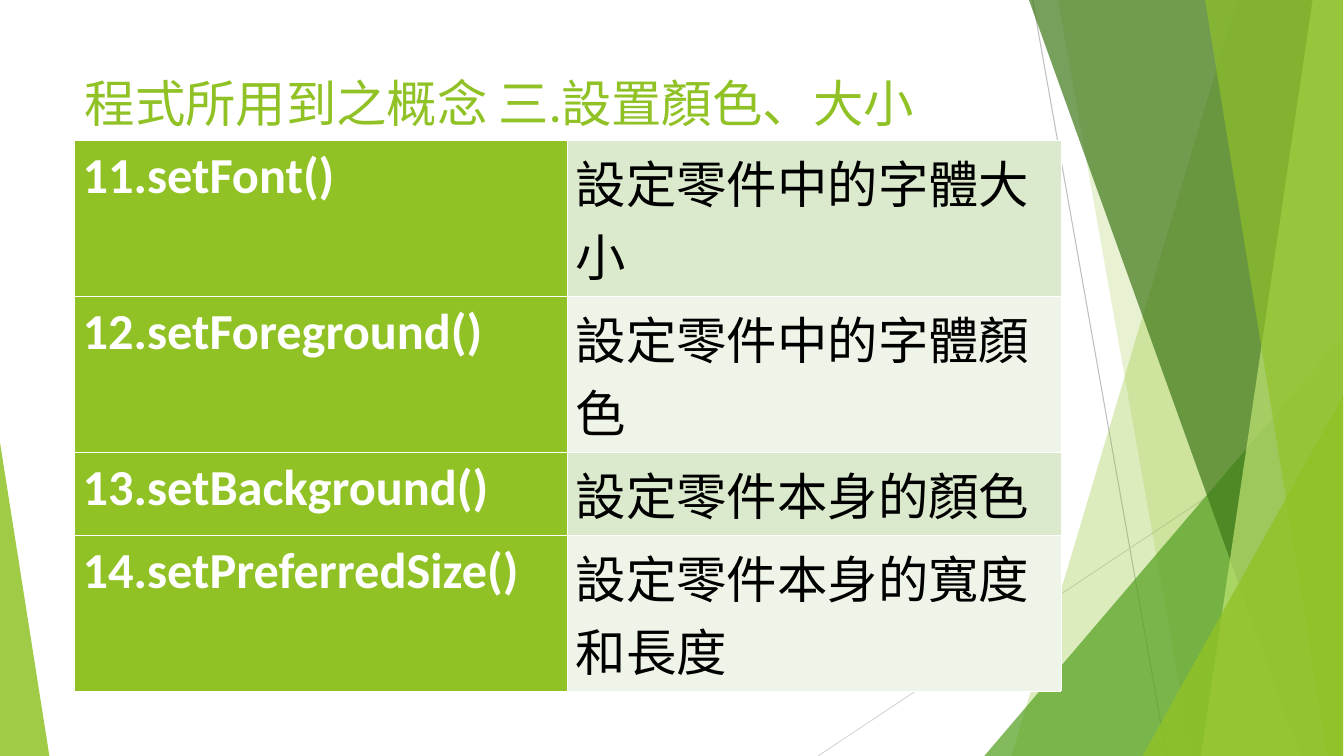
from lxml import etree
from pptx import Presentation
from pptx.dml.color import RGBColor
from pptx.enum import shapes as sh, text as tx
from pptx.oxml.ns import qn
from pptx.util import Inches, Pt

LIME = RGBColor(0x90, 0xC2, 0x26)
GREEN = RGBColor(0x54, 0xA0, 0x21)
DARK = RGBColor(0x3F, 0x78, 0x19)
PALE = RGBColor(0xC0, 0xE4, 0x74)
GREY = RGBColor(0xBF, 0xBF, 0xBF)
SILVER = RGBColor(0xD9, 0xD9, 0xD9)
WHITE = RGBColor(0xFF, 0xFF, 0xFF)
BLACK = RGBColor(0, 0, 0)
BANDS = [RGBColor(0xDB, 0xE9, 0xCD), RGBColor(0xEE, 0xF4, 0xE8)]

WIDE, HIGH = 13.34, 7.5
EDGE = 13.33
ROWS = [
    ("11.setFont()", "設定零件中的字體大小", 1.44),
    ("12.setForeground()", "設定零件中的字體顏色", 1.44),
    ("13.setBackground()", "設定零件本身的顏色", 0.72),
    ("14.setPreferredSize()", "設定零件本身的寬度和長度", 1.44),
]


def tint(shape, color, alpha):
    """Fill without outline; alpha is the opacity in percent."""
    shape.shadow.inherit = False
    shape.line.fill.background()
    shape.fill.solid()
    shape.fill.fore_color.rgb = color
    rgb = shape.fill._xPr.find(qn("a:solidFill"))[0]
    etree.SubElement(rgb, qn("a:alpha")).set("val", str(alpha * 1000))


def add_line(slide, start, end, color):
    line = slide.shapes.add_connector(
        sh.MSO_CONNECTOR.STRAIGHT, *map(Inches, start + end))
    line.line.color.rgb = color
    line.line.width = Pt(0.75)
    etree.SubElement(line._element.spPr, qn("a:effectLst"))


def add_band(slide, top, foot, color, alpha):
    """Four-sided band from the slanted side top-foot to the right edge."""
    pts = [(Inches(x), Inches(y)) for x, y in
           [(top, -0.01), (EDGE, -0.01), (EDGE, HIGH), (foot, HIGH)]]
    form = slide.shapes.build_freeform(*pts[0], scale=1.0)
    form.add_line_segments(pts[1:], close=True)
    tint(form.convert_to_shape(), color, alpha)


def add_wedge(slide, left, top, width, peak, color, alpha):
    """Triangle standing on the slide's foot; peak is 0 left, 1 right."""
    wedge = slide.shapes.add_shape(
        sh.MSO_SHAPE.ISOSCELES_TRIANGLE,
        *map(Inches, (left, top, width, HIGH - top)))
    wedge.adjustments[0] = peak
    tint(wedge, color, alpha)


def add_decor(slide):
    add_line(slide, (10.25, 0), (11.58, HIGH), GREY)
    add_line(slide, (EDGE, 4.03), (8.12, HIGH), SILVER)
    add_band(slide, 12.28, 10.04, LIME, 30)
    add_band(slide, 10.5, 11.83, LIME, 20)
    add_wedge(slide, 9.77, 3.33, 3.56, 1, GREEN, 72)
    add_band(slide, 10.21, 12.91, DARK, 70)
    add_band(slide, 13.03, 11.92, PALE, 70)
    add_band(slide, 11.96, 13.18, LIME, 65)
    add_wedge(slide, 11.34, 3.93, 1.99, 1, LIME, 80)
    add_wedge(slide, 0, 4.39, 0.49, 0, LIME, 85)


def set_title(slide, words, box):
    title = slide.shapes.title
    title.left, title.top, title.width, title.height = map(Inches, box)
    frame = title.text_frame
    frame.text = words
    frame.word_wrap = True
    frame.auto_size = tx.MSO_AUTO_SIZE.NONE
    frame.vertical_anchor = tx.MSO_ANCHOR.TOP
    para = frame.paragraphs[0]
    para.alignment = tx.PP_ALIGN.LEFT
    set_font(para, "Lato", LIME, False)


def set_font(para, name, color, bold):
    font = para.font
    font.name, font.size, font.bold = name, Pt(36), bold
    font.color.rgb = color


def set_cell(cell, words, color, bold, fill):
    cell.text = words
    cell.margin_left = cell.margin_right = Inches(0.08)
    cell.margin_top = cell.margin_bottom = Inches(0.05)
    set_font(cell.text_frame.paragraphs[0], "Calibri", color, bold)
    props = cell._tc.get_or_add_tcPr()
    for side in ("lnL", "lnR", "lnT", "lnB"):
        edge = etree.SubElement(props, qn("a:" + side), w=str(Pt(0.45)))
        paint = etree.SubElement(edge, qn("a:solidFill"))
        etree.SubElement(paint, qn("a:srgbClr"), val=str(WHITE))
    cell.fill.solid()
    cell.fill.fore_color.rgb = fill


def add_methods(slide, left, top, width):
    high = sum(row[2] for row in ROWS)
    table = slide.shapes.add_table(
        len(ROWS), 2, *map(Inches, (left, top, width, high))).table
    table.first_row = table.horz_banding = False
    for col in table.columns:
        col.width = Inches(width / 2)
    for i, (name, use, tall) in enumerate(ROWS):
        table.rows[i].height = Inches(tall)
        set_cell(table.cell(i, 0), name, WHITE, True, LIME)
        set_cell(table.cell(i, 1), use, BLACK, False, BANDS[i % 2])


def main():
    deck = Presentation()
    deck.slide_width, deck.slide_height = Inches(WIDE), Inches(HIGH)
    slide = deck.slides.add_slide(deck.slide_layouts[5])
    add_decor(slide)
    set_title(slide, "程式所用到之概念 三.設置顏色、大小", (0.74, 0.67, 9.4, 1.44))
    add_methods(slide, 0.74, 1.39, 9.79)
    deck.save("out.pptx")


if __name__ == "__main__":
    main()
